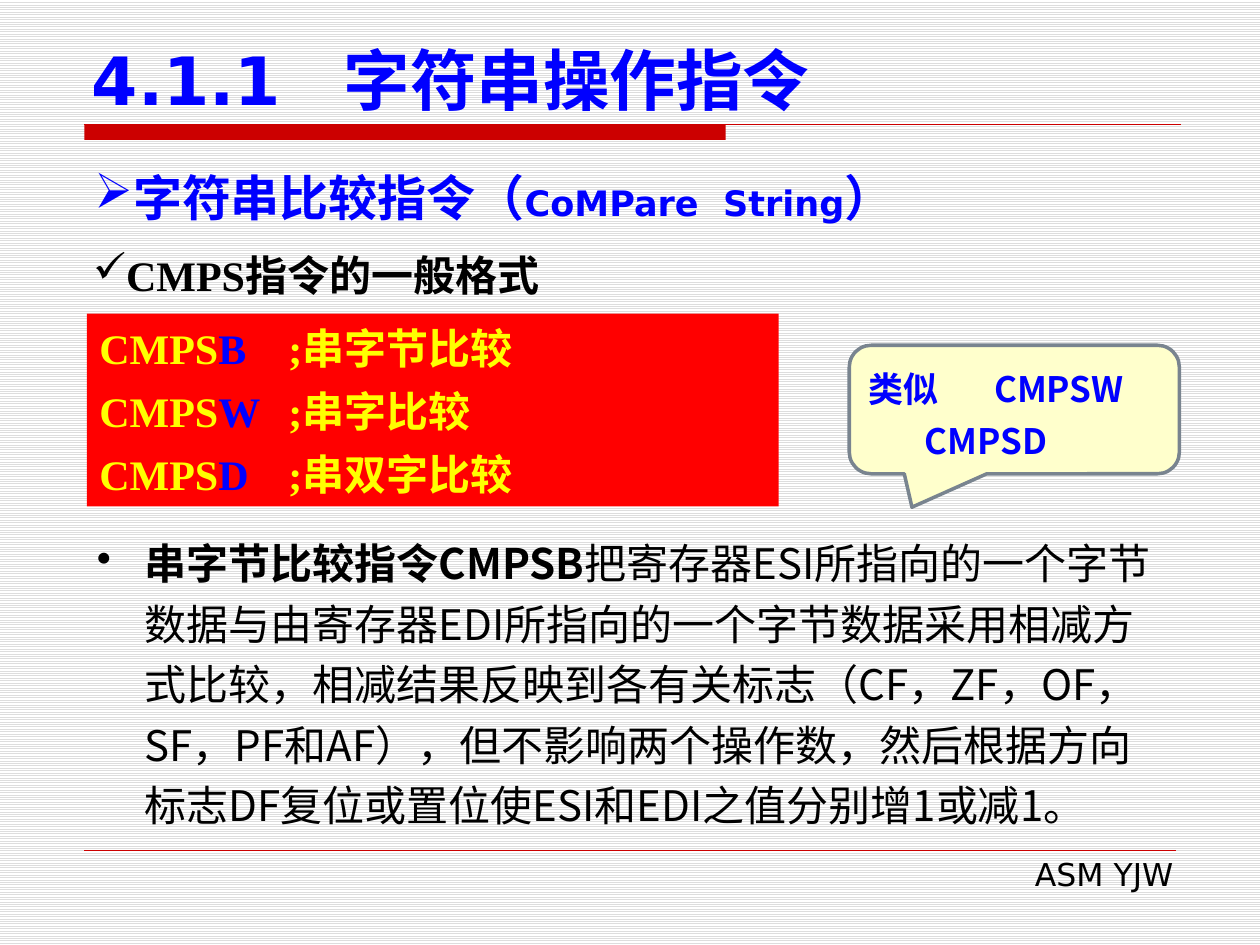
import pptx
import pptx.util
import pptx.dml.color
import pptx.enum.dml
import pptx.enum.shapes
import pptx.enum.text
import pptx.oxml.ns
import lxml.etree

Inches, Pt = pptx.util.Inches, pptx.util.Pt
Align = pptx.enum.text.PP_ALIGN
Anchor = pptx.enum.text.MSO_ANCHOR
Shapes = pptx.enum.shapes.MSO_SHAPE

# Content: each paragraph is a list of (text, formatting) runs
BLUE, YELLOW, RED, BLACK = "0000FF", "FFFF00", "CC0000", "000000"
SANS, SERIF, CJK = "DejaVu Sans", "Times New Roman", "Noto Sans CJK SC"


def style(size, font, color, bold=True):
    return dict(size=size, font=font, color=color, bold=bold)


CODE, SUFFIX = style(24, SERIF, YELLOW), style(24, SERIF, BLUE)
HEADING, NOTE = style(28, SANS, BLUE), style(20, CJK, BLUE)

TITLE = [[("4.1.1\t字符串操作指令", style(38, SANS, BLUE))]]
TOPIC = [[("字符串比较指令（", HEADING),
          ("CoMPare  String", style(20, SANS, BLUE)), ("）", HEADING)]]
FORMAT = [[("CMPS指令的一般格式", style(24, SERIF, BLACK))]]
INSTRUCTIONS = [("B", "串字节比较"), ("W", "串字比较"), ("D", "串双字比较")]
LISTING = [[("CMPS", CODE), (suffix, SUFFIX), ("\t;" + meaning, CODE)]
           for suffix, meaning in INSTRUCTIONS]
EXPLANATION = [[
    ("串字节比较指令CMPSB", style(24, CJK, BLACK)),
    ("把寄存器ESI所指向的一个字节数据与由寄存器EDI所指向的一个字节数据"
     "采用相减方式比较，相减结果反映到各有关标志（CF，ZF，OF，SF，PF和AF），"
     "但不影响两个操作数，然后根据方向标志DF复位或置位使ESI和EDI之值分别增1或减1。",
     style(24, CJK, BLACK, False))]]
SIMILAR = [[("类似\tCMPSW", NOTE)], [("CMPSD", NOTE)]]
FOOTER = [[("ASM YJW", style(18, SANS, BLACK, False))]]


def rgb(value):
    return pptx.dml.color.RGBColor.from_string(value)


def add_child(parent, tag, **attributes):
    child = lxml.etree.SubElement(parent, pptx.oxml.ns.qn(tag))
    for name, value in attributes.items():
        child.set(name, str(value))
    return child


def write(shape, paragraphs, anchor=Anchor.TOP, align=Align.LEFT, spacing=None,
          before=0, bullet=None, indent=0, tab=None):
    frame = shape.text_frame
    frame.word_wrap = True
    frame.vertical_anchor = anchor
    for index, runs in enumerate(paragraphs):
        paragraph = frame.paragraphs[0] if index == 0 else frame.add_paragraph()
        paragraph.alignment = align
        paragraph.space_before = Pt(before)
        if spacing:
            paragraph.line_spacing = spacing
        properties = paragraph._p.get_or_add_pPr()
        properties.set("marL", str(Inches(indent)))
        properties.set("indent", str(-Inches(indent)))
        if bullet:
            add_child(properties, "a:buChar", char=bullet)
        if tab:
            stops = add_child(properties, "a:tabLst")
            add_child(stops, "a:tab", pos=Inches(tab), algn="l")
        for text, look in runs:
            run = paragraph.add_run()
            run.text = text
            run.font.size = Pt(look["size"])
            run.font.name = look["font"]
            run.font.bold = look["bold"]
            run.font.color.rgb = rgb(look["color"])
            add_child(run._r.get_or_add_rPr(), "a:ea", typeface=CJK)


def add_text(slide, box, paragraphs, **options):
    shape = slide.shapes.add_textbox(*map(Inches, box))
    write(shape, paragraphs, **options)


def add_block(slide, kind, box, fill, line=None, width=0):
    shape = slide.shapes.add_shape(kind, *map(Inches, box))
    shape.shadow.inherit = False
    shape.fill.solid()
    shape.fill.fore_color.rgb = rgb(fill)
    if line:
        shape.line.color.rgb = rgb(line)
        shape.line.width = Pt(width)
    else:
        shape.line.fill.background()
    return shape


def add_rule(slide, left, right, top, width):
    rule = slide.shapes.add_connector(
        pptx.enum.shapes.MSO_CONNECTOR.STRAIGHT,
        Inches(left), Inches(top), Inches(right), Inches(top))
    rule.line.color.rgb = rgb(RED)
    rule.line.width = Pt(width)
    add_child(rule._element.spPr, "a:effectLst")


def main():
    presentation = pptx.Presentation()
    presentation.slide_width, presentation.slide_height = Inches(10), Inches(7.5)
    slide = presentation.slides.add_slide(presentation.slide_layouts[6])

    # Striped background
    background = slide.background.fill
    background.patterned()
    background.pattern = pptx.enum.dml.MSO_PATTERN.LIGHT_HORIZONTAL
    background.fore_color.rgb = rgb("DDDDDD")
    background.back_color.rgb = rgb("FFFFFF")

    # Title bar, rules and footer
    add_block(slide, Shapes.RECTANGLE, (0.67, 0.99, 5.09, 0.12), RED)
    add_rule(slide, 0.67, 9.37, 0.99, 0.75)
    add_rule(slide, 0.67, 9.33, 6.75, 0.25)
    add_text(slide, (3.82, 6.74, 5.59, 0.4), FOOTER, align=Align.RIGHT)

    # Title and headings
    add_text(slide, (0.63, 0.33, 8.75, 0.66), TITLE, anchor=Anchor.BOTTOM, tab=2)
    add_text(slide, (0.65, 1.28, 8.66, 0.57), TOPIC, bullet="➢")
    add_text(slide, (0.64, 1.93, 7.33, 0.5), FORMAT, bullet="✓")

    # Instruction listing
    listing = add_block(slide, Shapes.RECTANGLE, (0.69, 2.49, 5.49, 1.53), "FF0000")
    write(listing, LISTING, spacing=Pt(30), before=6, tab=2.34)

    # Explanation
    add_text(slide, (0.67, 4.14, 8.67, 2.46), EXPLANATION,
             spacing=1.2, bullet="•", indent=0.38)

    # Callout, with its second line set in
    callout = add_block(slide, Shapes.ROUNDED_RECTANGULAR_CALLOUT,
                        (6.74, 2.74, 2.62, 1.02), "FFFFCC", "79848F", 2)
    for index, value in enumerate((-0.31, 0.76, 0.17)):
        callout.adjustments[index] = value
    write(callout, SIMILAR, anchor=Anchor.MIDDLE, spacing=Pt(30), tab=0.82)
    second_line = callout.text_frame.paragraphs[1]._p.get_or_add_pPr()
    second_line.set("marL", str(Inches(0.45)))

    presentation.save("out.pptx")


if __name__ == "__main__":
    main()
